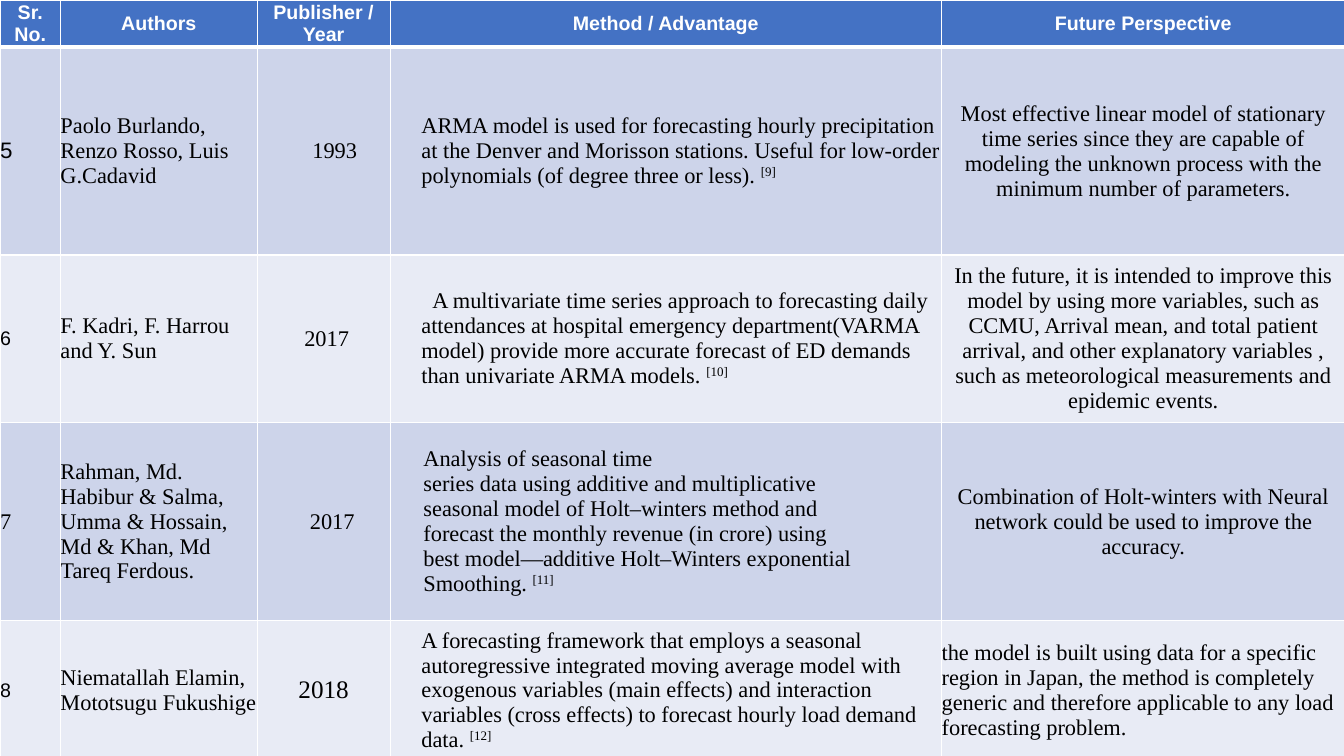
"""Builds a slide with a literature review table of forecasting methods."""
import pptx
import pptx.dml.color
import pptx.enum.text
import pptx.oxml
import pptx.oxml.ns
import pptx.util

Inches = pptx.util.Inches
Pt = pptx.util.Pt
RGBColor = pptx.dml.color.RGBColor
CENTER = pptx.enum.text.PP_ALIGN.CENTER
LEFT = pptx.enum.text.PP_ALIGN.LEFT

WHITE = RGBColor(0xFF, 0xFF, 0xFF)
BLACK = RGBColor(0x00, 0x00, 0x00)
HEADER_BLUE = RGBColor(0x44, 0x72, 0xC4)
BAND_COLORS = [RGBColor(0xCD, 0xD4, 0xEA), RGBColor(0xE8, 0xEB, 0xF5)]
SANS = "Arial"
SERIF = "Times New Roman"

COLUMN_WIDTHS = [0.6, 1.95, 1.32, 5.47, 4]
ROW_HEIGHTS = [0.47, 2.06, 1.66, 1.97, 1.38]
HEADINGS = ["Sr. No.", "Authors", "Publisher / Year", "Method / Advantage", "Future Perspective"]

STUDIES = [
    {
        "number": "5", "number_font": SANS, "number_size": 16,
        "authors": "Paolo Burlando, Renzo Rosso, Luis G.Cadavid",
        "year": "1993", "year_margin": 0.22,
        "method": "ARMA model is used for forecasting hourly precipitation at the Denver and "
                  "Morisson stations. Useful for low-order polynomials (of degree three or less). ",
        "citation": "[9]",
        "future": "Most effective linear model of stationary time series since they are capable "
                  "of modeling the unknown process with the minimum number of parameters.",
    },
    {
        "number": "6", "number_font": SANS, "number_size": 14,
        "authors": "F. Kadri, F. Harrou and Y. Sun",
        "year": "2017", "year_margin": 0.06,
        "method": "A multivariate time series approach to forecasting daily attendances at "
                  "hospital emergency department(VARMA model) provide more accurate forecast "
                  "of ED demands than univariate ARMA models. ",
        "method_indent": 0.11,
        "citation": "[10]",
        "future": "In the future, it is intended to improve this model by using more variables, "
                  "such as CCMU, Arrival mean, and total patient arrival, and other explanatory "
                  "variables , such as meteorological measurements and epidemic events.",
    },
    {
        "number": "7", "number_font": SERIF, "number_size": 16,
        "authors": "Rahman, Md. Habibur & Salma, Umma & Hossain, Md & Khan, Md Tareq Ferdous.",
        "year": "2017", "year_margin": 0.17,
        "method": "Analysis of seasonal time\n"
                  "series data using additive and multiplicative\n"
                  "seasonal model of Holt–winters method and\n"
                  "forecast the monthly revenue (in crore) using\n"
                  "best model—additive Holt–Winters exponential\n"
                  "Smoothing. ",
        "method_margin": 0.33,
        "citation": "[11]",
        "future": "Combination of Holt-winters with Neural network could be used to improve "
                  "the accuracy.",
    },
    {
        "number": "8", "number_font": SANS, "number_size": 14,
        "authors": "Niematallah Elamin, Mototsugu Fukushige",
        "year": "2018", "year_size": 18,
        "method": "A forecasting framework that employs a seasonal autoregressive integrated "
                  "moving average model with exogenous variables (main effects) and interaction "
                  "variables (cross effects) to forecast hourly load demand data. ",
        "citation": "[12]",
        "future": "the model is built using data for a specific region in Japan, the method is "
                  "completely generic and therefore applicable to any load forecasting problem.",
        "future_align": LEFT,
    },
]


class ReviewSlide:
    """Holds the table style and the current slide."""

    def __init__(self, deck):
        self.page = deck.slides.add_slide(deck.slide_layouts[6])

    def add_table(self, widths, heights):
        """Add an unbanded table at the top left corner and return it."""
        frame = self.page.shapes.add_table(
            len(heights), len(widths), 0, 0, Inches(sum(widths)), Inches(sum(heights)))
        table = frame.table
        table.horz_banding = False
        for column, width in zip(table.columns, widths):
            column.width = Inches(width)
        for row, height in zip(table.rows, heights):
            row.height = Inches(height)
        return table

    def add_borders(self, cell, bottom):
        """Draw white lines around a cell."""
        properties = cell._tc.get_or_add_tcPr()
        for side, width in (("L", 1), ("R", 1), ("T", 1), ("B", bottom)):
            properties.append(pptx.oxml.parse_xml(
                f'<a:ln{side} {pptx.oxml.ns.nsdecls("a")} w="{Pt(width)}">'
                f'<a:solidFill><a:srgbClr val="{WHITE}"/></a:solidFill></a:ln{side}>'))

    def fill_cell(self, cell, text, fill, align=LEFT, font=SERIF, size=16, color=BLACK,
                  bold=False, margin=0, indent=0, citation="", bottom=1):
        """Write and format one cell with an optional raised citation."""
        self.add_borders(cell, bottom)
        cell.fill.solid()
        cell.fill.fore_color.rgb = fill
        cell.vertical_anchor = pptx.enum.text.MSO_ANCHOR.MIDDLE
        cell.margin_left = cell.margin_right = cell.margin_top = cell.margin_bottom = 0
        cell.text_frame.text = text
        if citation:
            span = cell.text_frame.paragraphs[-1].add_run()
            span.text = citation
            span._r.get_or_add_rPr().set("baseline", "30000")
        for para in cell.text_frame.paragraphs:
            para.alignment = align
            para_properties = para._p.get_or_add_pPr()
            para_properties.set("marL", str(Inches(margin)))
            para_properties.set("indent", str(Inches(indent)))
            for span in para.runs:
                span.font.name = font
                span.font.size = Pt(size)
                span.font.bold = bold
                span.font.color.rgb = color

    def add_header(self, table):
        """Write the heading row."""
        for cell, heading in zip(table.rows[0].cells, HEADINGS):
            self.fill_cell(cell, heading, HEADER_BLUE, CENTER, SANS, 14, WHITE, True, bottom=3)

    def add_study(self, row, study, fill):
        """Write one reviewed study into a row."""
        number, authors, year, method, future = row.cells
        self.fill_cell(number, study["number"], fill,
                       font=study["number_font"], size=study["number_size"])
        self.fill_cell(authors, study["authors"], fill)
        self.fill_cell(year, study["year"], fill, CENTER, size=study.get("year_size", 16),
                       margin=study.get("year_margin", 0))
        self.fill_cell(method, study["method"], fill, margin=study.get("method_margin", 0.31),
                       indent=study.get("method_indent", 0), citation=study["citation"])
        self.fill_cell(future, study["future"], fill, study.get("future_align", CENTER))


def main():
    """Build and save the deck."""
    deck = pptx.Presentation()
    deck.slide_width = Inches(13.33)
    deck.slide_height = Inches(7.5)
    review = ReviewSlide(deck)
    table = review.add_table(COLUMN_WIDTHS, ROW_HEIGHTS)
    review.add_header(table)
    for index, study in enumerate(STUDIES):
        review.add_study(table.rows[index + 1], study, BAND_COLORS[index % 2])
    deck.save("out.pptx")


if __name__ == "__main__":
    main()
